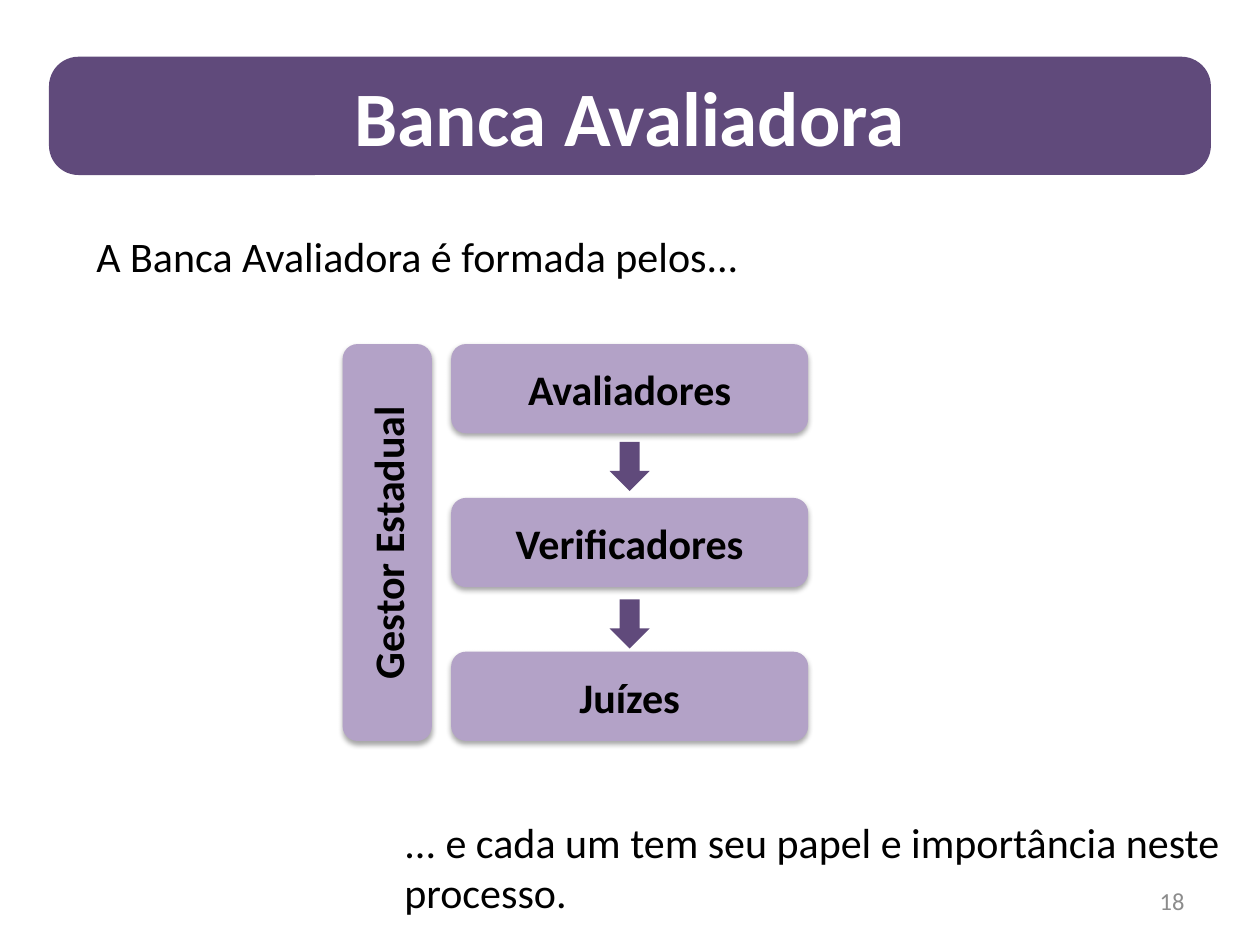
from lxml.etree import SubElement
from pptx import Presentation
from pptx.dml.color import RGBColor
from pptx.enum.shapes import MSO_SHAPE as SHAPE
from pptx.enum.text import MSO_ANCHOR as ANCHOR, PP_ALIGN as ALIGN
from pptx.oxml.ns import qn
from pptx.util import Pt

COLORS = {
    "purple": "604A7B",
    "lilac": "B3A2C7",
    "black": "000000",
    "white": "FFFFFF",
    "gray": "8C8C8C",
}


def rgb(name):
    return RGBColor.from_string(COLORS[name])


def write(sp, text, size=24, color="black", bold=False, align=ALIGN.LEFT, anchor=ANCHOR.TOP):
    tf = sp.text_frame
    tf.word_wrap = True
    tf.vertical_anchor = anchor
    p = tf.paragraphs[0]
    p.alignment = align
    r = p.add_run()
    r.text = text
    r.font.name = "Calibri"
    r.font.size = Pt(size)
    r.font.bold = bold
    r.font.color.rgb = rgb(color)


def add_text(s, box, text, **fmt):
    sp = s.shapes.add_textbox(*map(Pt, box))
    write(sp, text, **fmt)


def add_filled(s, kind, box, color):
    sp = s.shapes.add_shape(kind, *map(Pt, box))
    sp.shadow.inherit = False
    sp.fill.solid()
    sp.fill.fore_color.rgb = rgb(color)
    sp.line.fill.background()
    return sp


def add_shadow(sp):
    effects = sp.element.spPr.find(qn("a:effectLst"))
    shadow = SubElement(effects, qn("a:outerShdw"), blurRad=str(Pt(3.1)), dist=str(Pt(1.8)),
                        dir="5400000", rotWithShape="0")
    clr = SubElement(shadow, qn("a:srgbClr"), val=COLORS["black"])
    SubElement(clr, qn("a:alpha"), val="35000")


def add_role(s, box, text):
    sp = add_filled(s, SHAPE.ROUNDED_RECTANGLE, box, "lilac")
    add_shadow(sp)
    write(sp, text, bold=True, align=ALIGN.CENTER, anchor=ANCHOR.MIDDLE)
    return sp


def add_title(s, box, text):
    sp = add_filled(s, SHAPE.ROUNDED_RECTANGLE, box, "purple")
    sp.adjustments[0] = 0.25
    write(sp, text, size=44, color="white", bold=True, align=ALIGN.CENTER, anchor=ANCHOR.MIDDLE)


def add_flow(s, box, manager, roles):
    left, top, width, height = box
    thick, gap = 51, 11
    arrow_w, arrow_h, arrow_pitch = 23, 28, 90
    step_x = left + thick + gap
    step_w = width - thick - gap
    pitch = (height - thick) / (len(roles) - 1)

    sp = add_role(s, (left, top, thick, height), manager)
    sp.text_frame._txBody.bodyPr.set("vert", "vert270")

    for i, role in enumerate(roles):
        add_role(s, (step_x, top + i * pitch, step_w, thick), role)
    for i in range(len(roles) - 1):
        arrow_x = step_x + (step_w - arrow_w) / 2
        arrow_y = top + thick + 5 + i * arrow_pitch
        add_filled(s, SHAPE.DOWN_ARROW, (arrow_x, arrow_y, arrow_w, arrow_h), "purple")


def main():
    prs = Presentation()
    prs.slide_width, prs.slide_height = Pt(720), Pt(540)
    s = prs.slides.add_slide(prs.slide_layouts[6])
    add_title(s, (28, 32.4, 664, 67.6), "Banca Avaliadora")
    add_text(s, (48, 128, 451, 36.5), "A Banca Avaliadora é formada pelos...")
    add_text(s, (224, 463, 484.5, 65.5),
             "... e cada um tem seu papel e importância neste processo.")
    add_text(s, (516, 500.5, 168, 28.8), "18", size=14, color="gray",
             align=ALIGN.RIGHT, anchor=ANCHOR.MIDDLE)
    add_flow(s, (195.8, 196.6, 266, 226.8), "Gestor Estadual",
             ["Avaliadores", "Verificadores", "Juízes"])
    prs.save("out.pptx")


if __name__ == "__main__":
    main()
